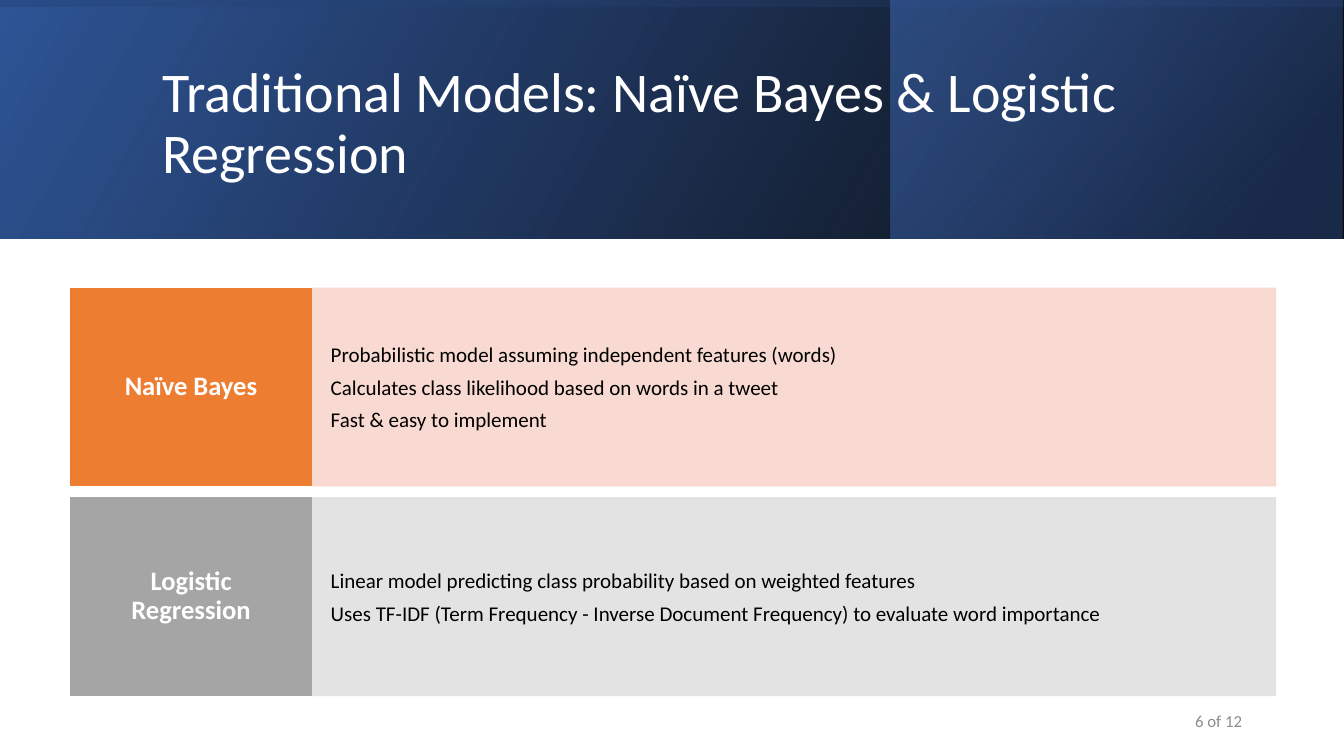
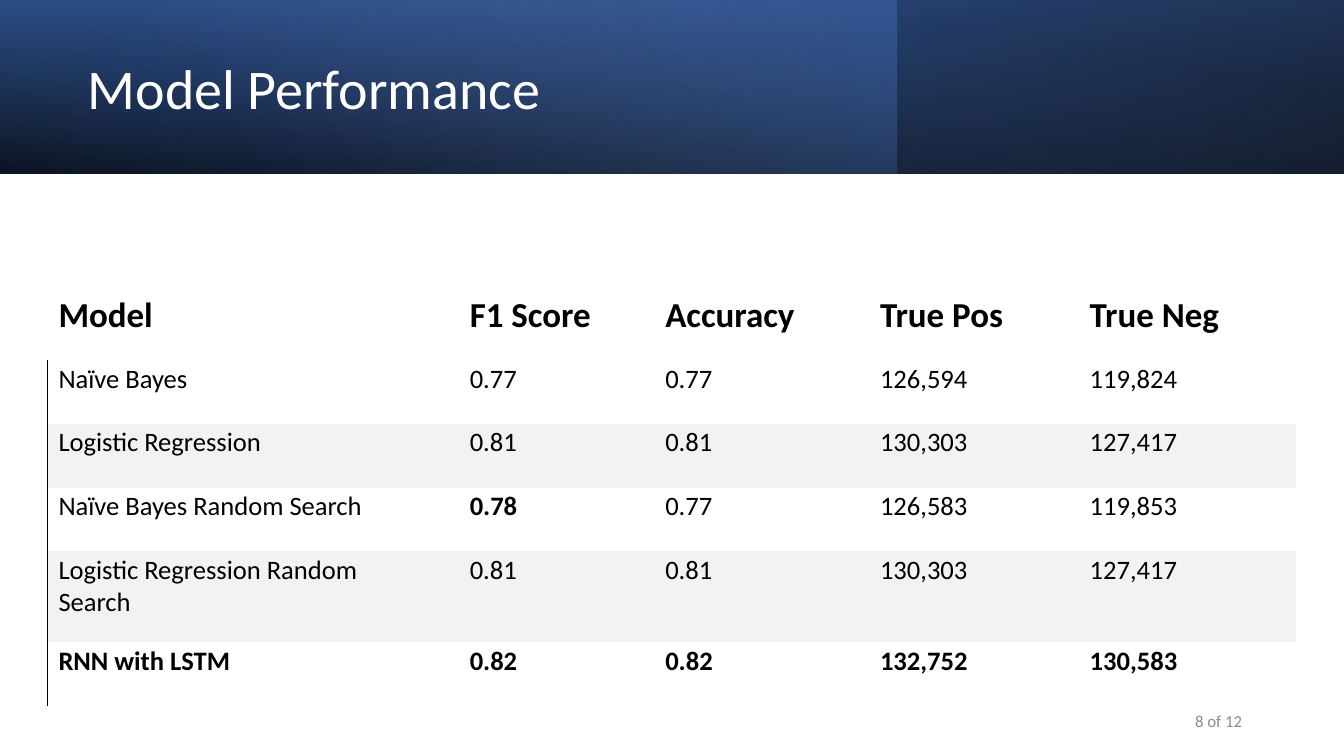
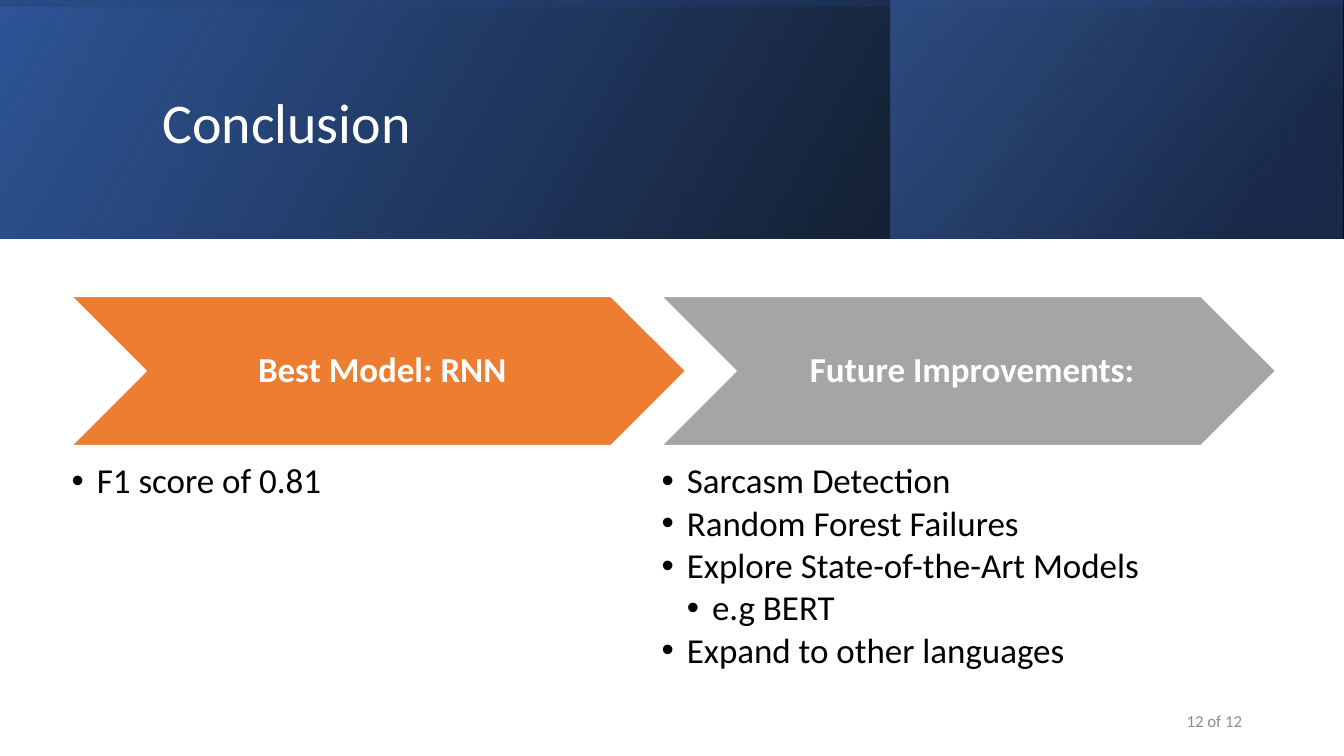
from lxml.etree import SubElement
from pptx import Presentation
from pptx.dml.color import RGBColor
from pptx.enum.shapes import MSO_SHAPE as SHAPE
from pptx.enum.text import MSO_ANCHOR as ANCHOR, MSO_AUTO_SIZE as FIT, PP_ALIGN as ALIGN
from pptx.oxml import parse_xml
from pptx.oxml.ns import nsdecls, qn
from pptx.util import Inches, Pt

WHITE, BLACK, GREY = "FFFFFF", "000000", "8C8C8C"
ORANGE, STEEL = "ED7D31", "A5A5A5"
NAVY, BLUE = "2F5597", "4472C4"
TITLE_ONLY, TWO_LISTS = 5, 3
PLAIN_TABLE = "{2D5ABB26-0587-4C30-8999-92F81FD0307C}"
TOTAL = 12


def hue(code):
    return RGBColor.from_string(code)


class Deck:
    """Shared style and the current slide; boxes are percent shares of the slide."""

    font = "Calibri"

    def __init__(self):
        self.prs = Presentation()
        self.prs.slide_width, self.prs.slide_height = Inches(13.33), Inches(7.5)
        self.page = None

    def wide(self, share):
        return round(self.prs.slide_width * share / 100)

    def high(self, share):
        return round(self.prs.slide_height * share / 100)

    def box(self, x, y, w, h):
        return self.wide(x), self.high(y), self.wide(w), self.high(h)

    # Text
    def words(self, frame, lines, size, color, bold=False, align=ALIGN.LEFT,
              anchor=ANCHOR.MIDDLE, pad=(0.1, 0.05, 0.1, 0.05), lead=1, after=0, dots=False):
        """Lines are (level, text) pairs or plain strings."""
        frame.word_wrap, frame.auto_size = True, FIT.NONE
        frame.vertical_anchor = anchor
        (frame.margin_left, frame.margin_top,
         frame.margin_right, frame.margin_bottom) = map(Inches, pad)
        for i, line in enumerate(lines):
            level, text = line if isinstance(line, tuple) else (0, line)
            para = frame.add_paragraph() if i else frame.paragraphs[0]
            para.level, para.alignment, para.line_spacing = level, align, lead
            para.space_before, para.space_after = Pt(0), Pt(size * after)
            self.mark(para, level, dots)
            for j, part in enumerate(text.split("\n")):
                if j:
                    para.add_line_break()
                run = para.add_run()
                run.text = part
                self.style(run.font, size, color, bold)

    def style(self, font, size, color, bold):
        font.name, font.size, font.bold = self.font, Pt(size), bold
        font.color.rgb = hue(color)

    def mark(self, para, level, dots):
        """Set the bullet and its hanging indent."""
        props = para._p.get_or_add_pPr()
        step = Inches(0.25) if dots else 0
        props.set("marL", str(step * (level + 1)))
        props.set("indent", str(-step))
        if dots:
            SubElement(props, qn("a:buFont")).set("typeface", "Arial")
            SubElement(props, qn("a:buChar")).set("char", "•")
        else:
            SubElement(props, qn("a:buNone"))

    # Fills
    def paint(self, shape, fill, edge, alpha=100):
        shape.fill.solid()
        shape.fill.fore_color.rgb = hue(fill)
        shape.line.color.rgb, shape.line.width = hue(edge), Pt(1)
        if alpha < 100:
            for node in shape.element.spPr.iter(qn("a:srgbClr")):
                SubElement(node, qn("a:alpha")).set("val", str(alpha * 1000))

    def band(self, box, stops, angle, flip=True, turn=0):
        """Gradient rectangle; box is where it shows after the turn."""
        x, y, w, h = self.box(*box)
        if turn % 180:
            x, y, w, h = x + (w - h) // 2, y + (h - w) // 2, h, w
        shape = self.page.shapes.add_shape(SHAPE.RECTANGLE, x, y, w, h)
        shape.shadow.inherit = False
        shape.line.fill.background()
        shape.fill.background()
        shape.rotation = turn
        props = shape.element.spPr
        if flip:
            props.find(qn("a:xfrm")).set("flipH", "1")
        marks = "".join(
            f'<a:gs pos="{pos * 1000}"><a:srgbClr val="{code}">'
            f'<a:alpha val="{alpha * 1000}"/></a:srgbClr></a:gs>'
            for pos, code, alpha in stops)
        blend = parse_xml(
            f'<a:gradFill {nsdecls("a")} rotWithShape="1"><a:gsLst>{marks}</a:gsLst>'
            f'<a:lin ang="{angle * 60000}" scaled="0"/></a:gradFill>')
        props.replace(props.find(qn("a:noFill")), blend)

    # Slide frame
    def start(self, layout, number, title, bands, place):
        self.page = self.prs.slides.add_slide(self.prs.slide_layouts[layout])
        for band in bands:
            self.band(**band)
        head = self.hold(0, place)
        self.words(head.text_frame, [title], 40, WHITE, lead=0.9)
        foot = self.page.shapes.add_textbox(*self.box(70.67, 92.67, 22.5, 5.33))
        self.words(foot.text_frame, [f"{number} of {TOTAL}"], 12, GREY, align=ALIGN.RIGHT)

    def hold(self, index, place):
        """Move a placeholder to its place, in front of what is drawn so far."""
        spot = next(p for p in self.page.placeholders
                    if p.placeholder_format.idx == index)
        spot.left, spot.top, spot.width, spot.height = self.box(*place)
        spot.element.getparent().append(spot.element)
        return spot

    # Parts
    def label(self, kind, place, text, size, fill, edge, pad):
        shape = self.page.shapes.add_shape(kind, *self.box(*place))
        shape.shadow.inherit = False
        self.paint(shape, fill, edge)
        self.words(shape.text_frame, [text], size, WHITE, bold=True,
                   align=ALIGN.CENTER, pad=pad, lead=0.9, after=0.35)

    def panel(self, index, place, lines, fill):
        spot = self.hold(index, place)
        self.paint(spot, fill, fill, alpha=90)
        self.words(spot.text_frame, lines, 15, BLACK, pad=(0.19, 0.5, 0.19, 0.5), after=0.35)

    def bullets(self, index, place, lines):
        spot = self.hold(index, place)
        self.words(spot.text_frame, lines, 25, BLACK, anchor=ANCHOR.TOP,
                   pad=(0, 0, 0, 0), lead=0.9, after=0.13, dots=True)

    def table(self, x, y, cols, rows, data, strong):
        place = self.box(x, y, sum(cols), sum(rows))
        frame = self.page.shapes.add_table(len(rows), len(cols), *place)
        grid = frame.table
        grid.first_row = grid.horz_banding = False
        next(frame.element.iter(qn("a:tableStyleId"))).text = PLAIN_TABLE
        for col, share in zip(grid.columns, cols):
            col.width = self.wide(share)
        for row, share in zip(grid.rows, rows):
            row.height = self.high(share)
        for r, line in enumerate(data):
            for c, text in enumerate(line):
                cell = grid.cell(r, c)
                self.cell(cell, text, r == 0, (r, c) in strong)
                if r and r % 2 == 0:
                    cell.fill.solid()
                    cell.fill.fore_color.rgb = hue("F2F2F2")
                else:
                    cell.fill.background()
                if r and c == 0:
                    self.rule(cell)

    def cell(self, cell, text, head, bold):
        pad = (0.11, 0.03, 0.35, 0.23)
        (cell.margin_left, cell.margin_top,
         cell.margin_right, cell.margin_bottom) = map(Inches, pad)
        cell.vertical_anchor = ANCHOR.BOTTOM if head else ANCHOR.TOP
        run = cell.text_frame.paragraphs[0].add_run()
        run.text = text
        self.style(run.font, 25 if head else 19, BLACK, head or bold)

    def rule(self, cell):
        """Thin line down the left side of a cell."""
        cell._tc.get_or_add_tcPr().insert(0, parse_xml(
            f'<a:lnL {nsdecls("a")} w="{int(Pt(0.75))}"><a:solidFill>'
            f'<a:srgbClr val="{BLACK}"/></a:solidFill></a:lnL>'))


# Title bands
TALL, LOW = (0, 0, 100, 31.6), (0, 0, 100, 22.93)
BASE = [(0, BLACK, 96), (100, NAVY, 100)]
TALL_BANDS = [
    dict(box=TALL, stops=BASE, angle=330),
    dict(box=(66.25, 0, 33.65, 31.6), stops=[(19, "203864", 68), (100, BLUE, 48)], angle=320),
    dict(box=TALL, stops=[(23, NAVY, 16), (99, BLACK, 45)], angle=350, turn=270),
]
LOW_BANDS = [
    dict(box=LOW, stops=BASE, angle=100, turn=180),
    dict(box=(0, 0, 66.7, 22.93), stops=[(0, BLUE, 41), (74, "8FAADC", 0)],
         angle=140, flip=False),
    dict(box=LOW, stops=[(0, BLACK, 63), (78, BLUE, 15)], angle=260),
]
TALL_HEAD, LOW_HEAD = (11.33, 5.07, 79.75, 22.93), (5.78, 3.6, 57.9, 16.93)


def models(deck):
    deck.start(TWO_LISTS, 6, "Traditional Models: Naïve Bayes & Logistic Regression",
               TALL_BANDS, TALL_HEAD)
    rows = [
        ("Naïve Bayes", ORANGE, "F8D7CE", [
            "Probabilistic model assuming independent features (words)",
            "Calculates class likelihood based on words in a tweet",
            "Fast & easy to implement"]),
        ("Logistic\nRegression", STEEL, "E1E1E1", [
            "Linear model predicting class probability based on weighted features",
            "Uses TF-IDF (Term Frequency - Inverse Document Frequency)"
            " to evaluate word importance"]),
    ]
    left, side, main, tall, gap = 5.25, 17.93, 71.72, 26.13, 1.6
    for i, (name, dark, pale, lines) in enumerate(rows):
        top = 38.13 + i * (tall + gap)
        deck.panel(i + 1, (left + side, top, main, tall), lines, pale)
        deck.label(SHAPE.RECTANGLE, (left, top, side, tall), name, 19, dark, dark,
                   (0.13, 0.19, 0.13, 0.19))


def scores(deck):
    deck.start(TITLE_ONLY, 8, "Model Performance", LOW_BANDS, LOW_HEAD)
    data = [
        ("Model", "F1 Score", "Accuracy", "True Pos", "True Neg"),
        ("Naïve Bayes", "0.77", "0.77", "126,594", "119,824"),
        ("Logistic Regression", "0.81", "0.81", "130,303", "127,417"),
        ("Naïve Bayes Random Search", "0.78", "0.77", "126,583", "119,853"),
        ("Logistic Regression Random Search", "0.81", "0.81", "130,303", "127,417"),
        ("RNN with LSTM", "0.82", "0.82", "132,752", "130,583"),
    ]
    best = {(3, 1)} | {(5, c) for c in range(5)}
    deck.table(3.53, 32.27, [30.6, 14.55, 15.98, 15.6, 16.2], [15.33] + [8.45] * 5,
               data, best)


def ending(deck):
    deck.start(TWO_LISTS, 12, "Conclusion", TALL_BANDS, TALL_HEAD)
    parts = [
        ("Best Model: RNN", ORANGE, ["F1 score of 0.81"]),
        ("Future Improvements:", STEEL, [
            "Sarcasm Detection", "Random Forest Failures",
            "Explore State-of-the-Art Models", (1, "e.g BERT"),
            "Expand to other languages"]),
    ]
    for i, (name, fill, lines) in enumerate(parts):
        left = 5.33 + i * 43.9
        deck.label(SHAPE.CHEVRON, (left, 39.2, 45.69, 19.73), name, 25, fill, WHITE,
                   (0.11, 0.04, 0.04, 0.04))
        deck.bullets(i + 1, (left, 61.33, 36.53, 29.47), lines)


def main():
    deck = Deck()
    for build in (models, scores, ending):
        build(deck)
    deck.prs.save("out.pptx")


if __name__ == "__main__":
    main()
